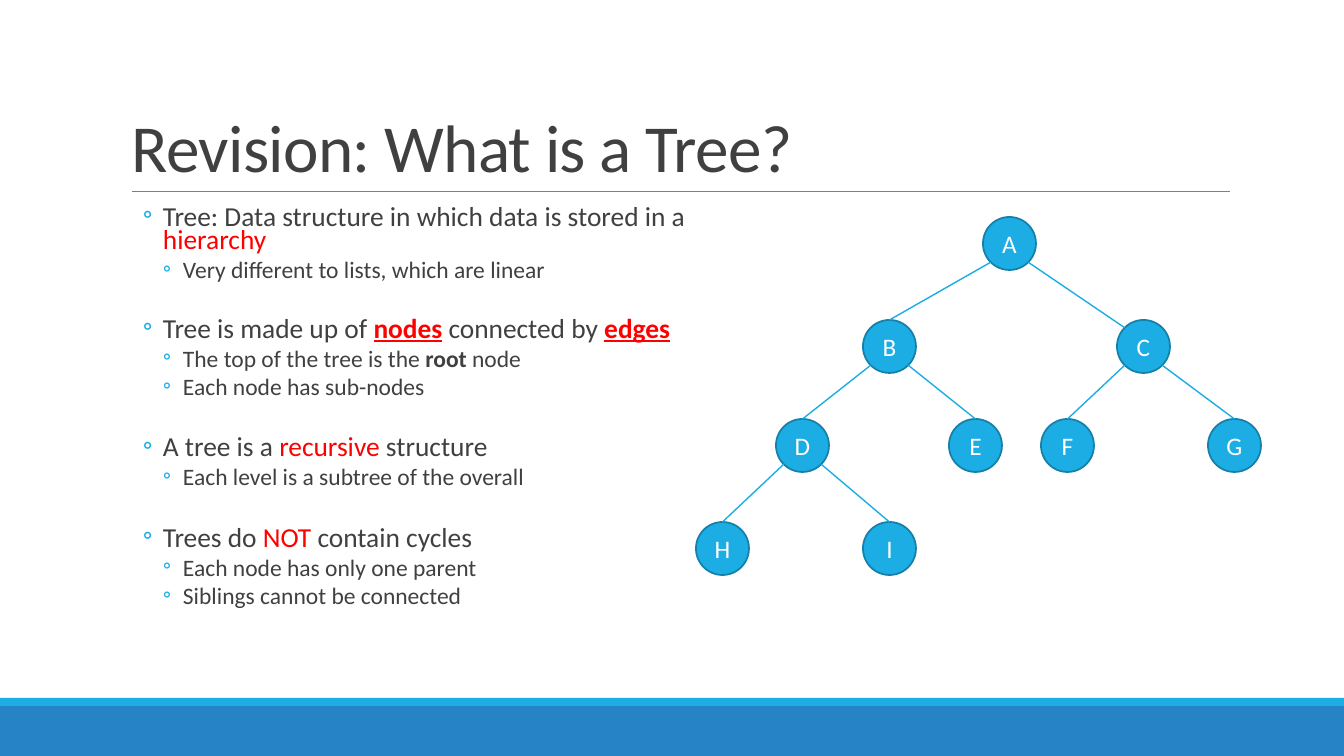
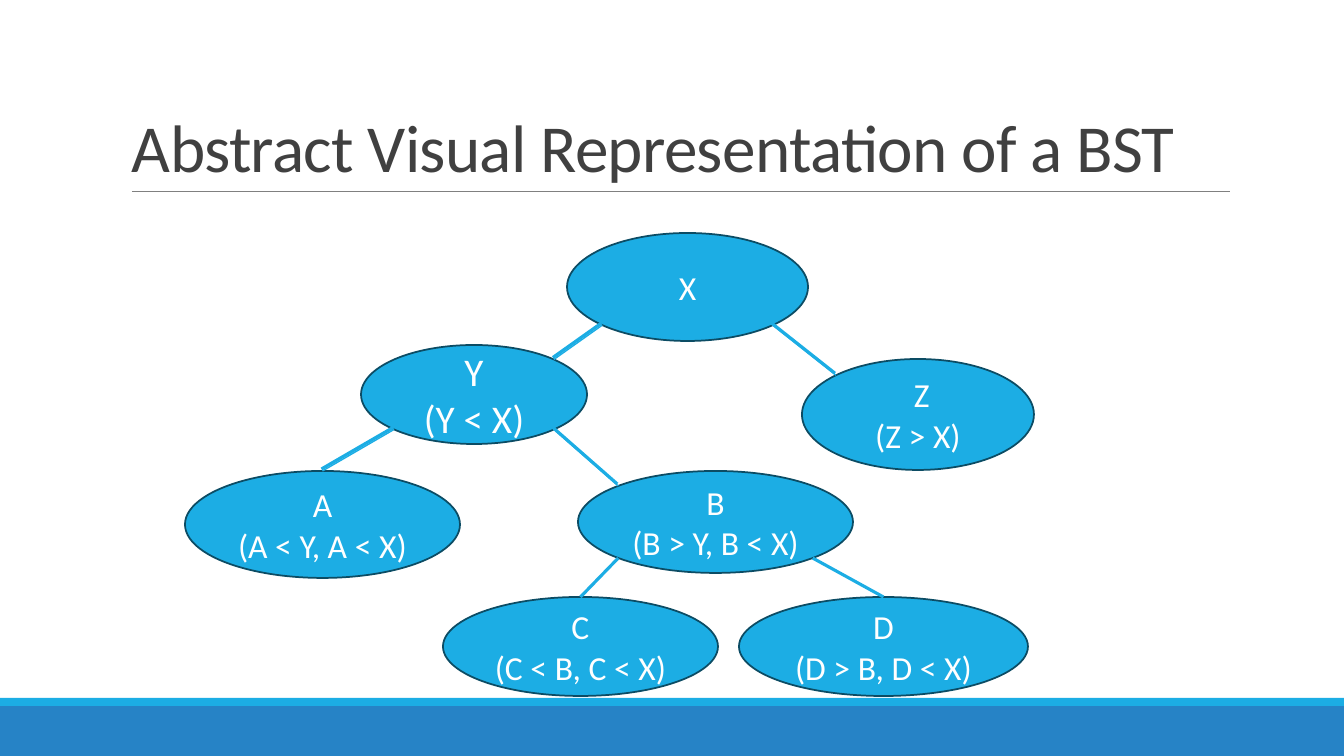
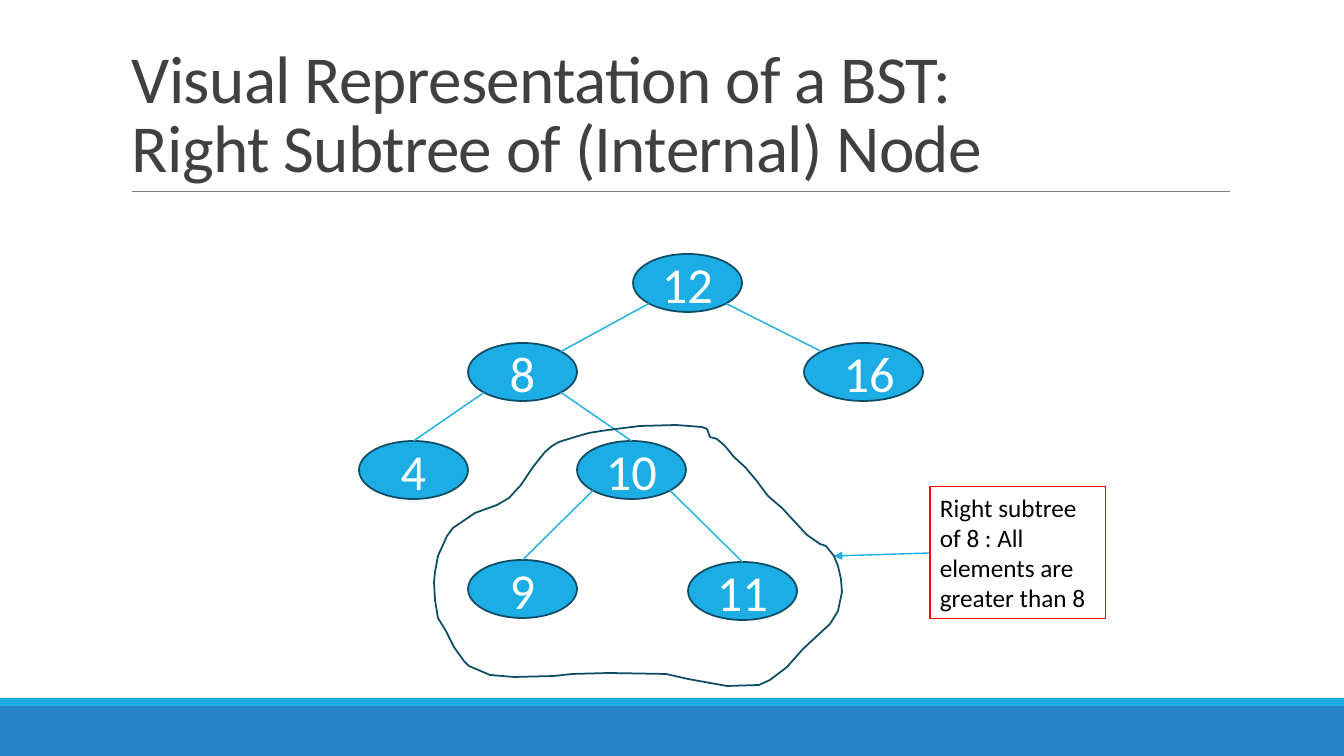
from dataclasses import dataclass
from math import sqrt

from lxml import etree
from pptx import Presentation
from pptx import util as u
from pptx.dml.color import RGBColor
from pptx.enum import shapes, text
from pptx.oxml.ns import qn

SCALE = 914400 / 100.8  # EMU per px


@dataclass(frozen=True)
class Theme:
    font: str = "Calibri"
    ink: str = "404040"
    black: str = "000000"
    white: str = "FFFFFF"
    accent: str = "1CADE4"
    band: str = "2683C6"
    rule: str = "808080"
    rim: str = "1580A9"
    dark_rim: str = "0C4C64"
    red: str = "FF0000"
    title: int = 48
    topic: float = 19.6
    detail: float = 16.8
    label: int = 18
    pair: int = 24
    wide_pair: int = 28
    number: int = 36


T = Theme()
RED = {"color": T.red}
TERM = {"color": T.red, "bold": True, "underline": True}
BOLD = {"bold": True}


def px(length):
    return u.Emu(round(length * SCALE))


def write(frame, *runs, size, color=T.ink, align=text.PP_ALIGN.LEFT, leading=None,
          before=0, after=0, margin=0, hanging=0, bullet=None, tracking=None):
    """Add one paragraph; a run is a string or a (string, format) pair."""
    para = frame.paragraphs[0]
    if para.runs:
        para = frame.add_paragraph()
    para.alignment = align
    para.space_before, para.space_after = u.Pt(before), u.Pt(after)
    if leading:
        para.line_spacing = leading
    if bullet:
        props = para._p.get_or_add_pPr()
        props.set("marL", str(px(margin)))
        props.set("indent", str(px(-hanging)))
        tint = etree.SubElement(props, qn("a:buClr"))
        etree.SubElement(tint, qn("a:srgbClr"), val=T.accent)
        etree.SubElement(props, qn("a:buFont"), typeface=T.font)
        etree.SubElement(props, qn("a:buChar"), char=bullet)
    for item in runs:
        words, look = (item, {}) if isinstance(item, str) else item
        for row, line in enumerate(words.split("\n")):
            if row:
                para.add_line_break()
            run = para.add_run()
            run.text = line
            run.font.name, run.font.size = T.font, u.Pt(size)
            run.font.color.rgb = RGBColor.from_string(look.get("color", color))
            run.font.bold = look.get("bold", False)
            run.font.underline = look.get("underline", False)
            if tracking:
                run._r.get_or_add_rPr().set("spc", str(tracking))


@dataclass
class Node:
    left: int
    top: int
    width: int
    height: int

    def point(self, across, down):
        """Point on the rim, in half-widths and half-heights from the centre."""
        return (self.left + self.width * (1 + across) / 2,
                self.top + self.height * (1 + down) / 2)


class Deck:
    def __init__(self):
        self.prs = Presentation()
        self.prs.slide_width, self.prs.slide_height = px(1344), px(756)
        self.slide = None

    def new_slide(self, title):
        self.slide = self.prs.slides.add_slide(self.prs.slide_layouts[6])
        self.shape(shapes.MSO_SHAPE.RECTANGLE, 0, 706, 1344, 50, fill=T.band)
        self.shape(shapes.MSO_SHAPE.RECTANGLE, 0, 698, 1344, 8, fill=T.accent)
        self.line((132, 191), (1230, 191), color=T.rule, weight=0.5)
        heading = self.text_box(122, 31, 1108, 160)
        heading.vertical_anchor = text.MSO_ANCHOR.BOTTOM
        write(heading, title, size=T.title, leading=0.85, tracking=-50)

    def text_box(self, left, top, width, height):
        frame = self.slide.shapes.add_textbox(px(left), px(top), px(width), px(height)).text_frame
        frame.word_wrap = True
        return frame

    def paint(self, shape, fill=None, line=None, weight=1.25):
        shape.shadow.inherit = False
        if fill:
            shape.fill.solid()
            shape.fill.fore_color.rgb = RGBColor.from_string(fill)
        else:
            shape.fill.background()
        if line:
            shape.line.color.rgb = RGBColor.from_string(line)
            shape.line.width = u.Pt(weight)
        else:
            shape.line.fill.background()

    def shape(self, kind, left, top, width, height, **look):
        shape = self.slide.shapes.add_shape(kind, px(left), px(top), px(width), px(height))
        self.paint(shape, **look)
        return shape

    def line(self, start, end, color=T.accent, weight=1, arrow=False):
        line = self.slide.shapes.add_connector(
            shapes.MSO_CONNECTOR.STRAIGHT, *map(px, (*start, *end)))
        line.line.color.rgb = RGBColor.from_string(color)
        line.line.width = u.Pt(weight)
        if arrow:
            etree.SubElement(line.line._get_or_add_ln(), qn("a:tailEnd"), type="triangle")
        etree.SubElement(line._element.spPr, qn("a:effectLst"))

    def node(self, box, label, kind=shapes.MSO_SHAPE.OVAL, rim=T.dark_rim, size=T.pair):
        frame = self.shape(kind, *box, fill=T.accent, line=rim).text_frame
        frame.word_wrap = True
        frame.vertical_anchor = text.MSO_ANCHOR.MIDDLE
        for row in label.split("\n"):
            write(frame, row, size=size, color=T.white, align=text.PP_ALIGN.CENTER)
        return Node(*box)

    def edge(self, parent, child, shoulder=False, shift=(0, 0), weight=1):
        """Join a parent's lower flank to the top, or near shoulder, of a child."""
        diagonal = 1 / sqrt(2)
        side = diagonal if child.point(0, 0)[0] > parent.point(0, 0)[0] else -diagonal
        start = parent.point(side, diagonal)
        end = child.point(-side, -diagonal) if shoulder else child.point(0, -1)
        self.line(*[(x + shift[0], y + shift[1]) for x, y in (start, end)], weight=weight)

    def outline(self, points, **look):
        builder = self.slide.shapes.build_freeform(*points[0], scale=SCALE)
        builder.add_line_segments(points[1:], close=True)
        self.paint(builder.convert_to_shape(), **look)


def revision(deck):
    deck.new_slide("Revision: What is a Tree?")

    # Topics: runs, space before, details
    topics = [
        (["Tree: Data structure in which data is stored in a ", ("hierarchy", RED)], 2,
         [["Very different to lists, which are linear"]]),
        (["Tree is made up of ", ("nodes", TERM), " connected by ", ("edges", TERM)], 23,
         [["The top of the tree is the ", ("root", BOLD), " node"],
          ["Each node has sub-nodes"]]),
        (["A tree is a ", ("recursive", RED), " structure"], 24,
         [["Each level is a subtree of the overall"]]),
        (["Trees do ", ("NOT", RED), " contain cycles"], 24,
         [["Each node has only one parent"], ["Siblings cannot be connected"]]),
    ]
    body = deck.text_box(121, 203, 576, 444)
    body.margin_left = body.margin_right = 0
    listing = dict(leading=0.7, after=4, hanging=20, bullet="◦")
    for topic, before, details in topics:
        write(body, *topic, size=T.topic, before=before, margin=42, **listing)
        for detail in details:
            write(body, *detail, size=T.detail, before=2, margin=62, **listing)

    # Tree, level by level
    levels = [(217, {"A": 983}), (320, {"B": 863, "C": 1117}),
              (419, {"D": 776, "E": 949, "F": 1041, "G": 1208}),
              (522, {"H": 696, "I": 863})]
    nodes = {name: deck.node((left, top, 53, 53), name, size=T.label, rim=T.rim,
                             kind=shapes.MSO_SHAPE.FLOWCHART_CONNECTOR)
             for top, level in levels for name, left in level.items()}
    for parent, child in ("AB", "AC", "BD", "BE", "CF", "CG", "DH", "DI"):
        deck.edge(nodes[parent], nodes[child], shoulder=child == "C")


def abstract_tree(deck):
    deck.new_slide("Abstract Visual Representation of a BST")
    boxes = {
        "X": (567, 233, 241, 108, "X"),
        "Y": (361, 345, 226, 99, "Y\n(Y < X)"),
        "Z": (802, 359, 232, 111, " Z\n(Z > X)"),
        "A": (185, 471, 275, 107, "A\n(A < Y, A < X)"),
        "B": (578, 471, 275, 102, "B\n(B > Y, B < X)"),
        "D": (739, 597, 289, 99, "D\n(D > B, D < X)"),
        "C": (443, 597, 275, 99, "C\n(C < B, C < X)"),
    }
    nodes = {name: deck.node(box, label, size=T.wide_pair if name == "Y" else T.pair)
             for name, (*box, label) in boxes.items()}

    # Upper edges are a thin line under a bold one
    for parent, child in ("XY", "XZ", "YA", "YB"):
        ends = nodes[parent], nodes[child], child in "YZB"
        deck.edge(*ends)
        deck.edge(*ends, shift=(-1, -2), weight=2.25)
    for child in "CD":
        deck.edge(nodes["B"], nodes[child], weight=2.25)


def right_subtree(deck):
    deck.new_slide("Visual Representation of a BST:\nRight Subtree of (Internal) Node")
    corners = {12: (633, 254), 8: (468, 343), 16: (804, 343), 4: (359, 441),
               10: (577, 441), 11: (688, 562), 9: (468, 560)}
    nodes = {}
    for value, corner in corners.items():
        width, label = (119, " 16") if value == 16 else (109, str(value))
        nodes[value] = deck.node((*corner, width, 58), label, size=T.number)
    for parent, child in ((12, 8), (12, 16), (8, 4), (8, 10), (10, 9), (10, 11)):
        deck.edge(nodes[parent], nodes[child], shoulder=parent == 12)

    # Note on the subtree
    deck.line((930, 553), (834, 556), arrow=True)
    note = deck.text_box(930, 487, 176, 132)
    note.auto_size = text.MSO_AUTO_SIZE.SHAPE_TO_FIT_TEXT
    write(note, "Right subtree of 8 : All elements are greater than 8",
          size=T.label, color=T.black)
    deck.paint(note._parent, line=T.red, weight=0.75)

    # Loop around the subtree
    loop = [
        (710, 437), (707, 429), (702, 427), (676, 425), (640, 426), (616, 429),
        (601, 431), (589, 433), (575, 437), (559, 442), (552, 446), (545, 452),
        (533, 467), (521, 485), (509, 498), (497, 505), (475, 513), (453, 528),
        (447, 536), (438, 556), (435, 572), (434, 582), (435, 600), (438, 618),
        (446, 631), (454, 647), (464, 661), (469, 666), (490, 675), (514, 677),
        (554, 676), (572, 674), (609, 673), (666, 674), (688, 679), (727, 686),
        (759, 685), (770, 680), (787, 667), (803, 649), (817, 636), (830, 624),
        (838, 611), (842, 592), (841, 579), (838, 566), (834, 556), (826, 546),
        (820, 544), (807, 535), (795, 522), (782, 508), (768, 496), (756, 480),
        (745, 467), (734, 457), (725, 446), (717, 439),
    ]
    deck.outline(loop, line=T.dark_rim)


def main():
    deck = Deck()
    revision(deck)
    abstract_tree(deck)
    right_subtree(deck)
    deck.prs.save("out.pptx")


if __name__ == "__main__":
    main()
